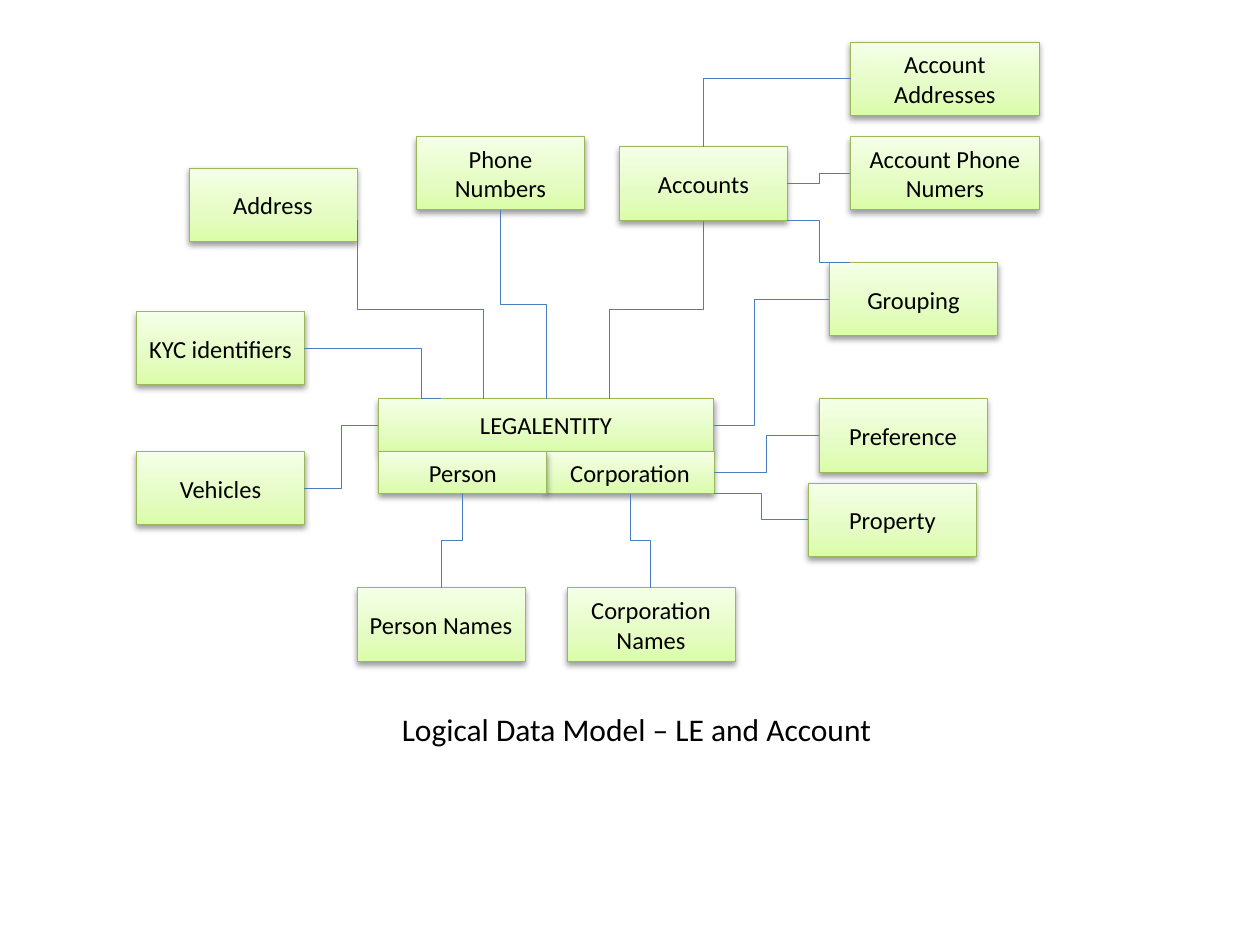
from lxml import etree
from pptx import Presentation
from pptx.dml.color import RGBColor
from pptx.enum.shapes import MSO_CONNECTOR, MSO_SHAPE
from pptx.enum.text import MSO_ANCHOR, PP_ALIGN
from pptx.oxml.ns import qn
from pptx.util import Pt

RECT = MSO_SHAPE.RECTANGLE
ELBOW = MSO_CONNECTOR.ELBOW
MIDDLE = MSO_ANCHOR.MIDDLE
CENTER = PP_ALIGN.CENTER

THEME = {
    "font": "Calibri",
    "text": RGBColor(0, 0, 0),
    "border": RGBColor(0x98, 0xB9, 0x55),
    "link": RGBColor(0x4B, 0x7E, 0xBC),
    "stops": [(0, "DAFDA7"), (35, "E4FCC2"), (100, "F5FFE7")],
    "shadow": {"blurRad": Pt(3.5), "dist": Pt(2), "dir": 5400000, "rotWithShape": 0},
    "shadow_alpha": 38000,
    "line": Pt(0.5),
    "box_size": Pt(14),
    "caption_size": Pt(18),
}


def sub(parent, tag, **attrs):
    """Append a DrawingML element and return it."""
    values = {key: str(value) for key, value in attrs.items()}
    return etree.SubElement(parent, qn(f"a:{tag}"), values)


def write(tf, text, size):
    r = tf.paragraphs[0].add_run()
    r.text = text
    for name, value in {"name": THEME["font"], "size": size}.items():
        setattr(r.font, name, value)
    r.font.color.rgb = THEME["text"]


prs = Presentation()
prs.slide_width, prs.slide_height = Pt(720), Pt(540)
s = prs.slides.add_slide(prs.slide_layouts[6])

# Entities: label, left, top, width, height
W, H = 96, 42
entities = [
    ("LEGALENTITY", 216, 228, 2 * W, 30),
    ("Accounts", 354, 84, W, H),
    ("Preference", 468, 228, W, H),
    ("Corporation Names", 324, 336, W, H),
    ("Person Names", 204, 336, W, H),
    ("Corporation", 312, 258, W, 24),
    ("Phone Numbers", 238, 78, W, H),
    ("KYC identifiers", 78, 178, W, H),
    ("Address", 108, 96, W, H),
    ("Person", 216.5, 258, W, 24),
    ("Vehicles", 78, 258, W, H),
    ("Property", 462, 276, W, H),
    ("Grouping", 474, 150, W, H),
    ("Account Addresses", 486, 24, 108, H),
    ("Account Phone Numers", 486, 78, 108, H),
]
for label, *bounds in entities:
    sp = s.shapes.add_shape(RECT, *map(Pt, bounds))
    sp.fill.gradient()
    sp.fill.gradient_angle = 90
    stops = sp._element.spPr.find(f".//{qn('a:gsLst')}")
    for old in list(stops):
        stops.remove(old)
    for percent, color in THEME["stops"]:
        sub(sub(stops, "gs", pos=percent * 1000), "srgbClr", val=color)
    sp.line.color.rgb = THEME["border"]
    sp.line.width = THEME["line"]
    sp.shadow.inherit = False
    effects = sp._element.spPr.find(qn("a:effectLst"))
    black = sub(sub(effects, "outerShdw", **THEME["shadow"]), "srgbClr", val="000000")
    sub(black, "alpha", val=THEME["shadow_alpha"])
    tf = sp.text_frame
    for name, value in {"word_wrap": True, "vertical_anchor": MIDDLE}.items():
        setattr(tf, name, value)
    tf.paragraphs[0].alignment = CENTER
    write(tf, label, THEME["box_size"])

# Links: start x, y, end x, y, first direction, position of the bend (None: one corner)
links = [
    (312, 228, 286, 120, "vertical", 0.5),
    (348, 228, 402, 126, "vertical", 0.5),
    (408, 270, 468, 249, "horizontal", 0.5),
    (408, 243, 474, 171, "horizontal", 0.35),
    (276, 228, 204, 126, "vertical", 0.5),
    (252, 228, 174, 199, "horizontal", 0.14),
    (216, 243, 174, 279, "horizontal", 0.5),
    (264, 282, 252, 336, "vertical", 0.5),
    (360, 282, 372, 336, "vertical", 0.5),
    (402, 84, 486, 45, "vertical", None),
    (450, 105, 486, 99, "horizontal", 0.5),
    (408, 282, 462, 297, "horizontal", 0.5),
    (450, 126, 486, 150, "horizontal", 0.5),
]
for x1, y1, x2, y2, direction, bend in links:
    turn = 0
    if direction == "vertical":
        # Lay the elbow on its side about its centre, then turn it upright
        turn = 90 if y2 > y1 else 270
        sign = 1 if y2 > y1 else -1
        cx, cy = (x1 + x2) / 2, (y1 + y2) / 2
        half_w, half_h = abs(y2 - y1) / 2, sign * (x1 - x2) / 2
        x1, y1, x2, y2 = cx - half_w, cy - half_h, cx + half_w, cy + half_h
    c = s.shapes.add_connector(ELBOW, Pt(x1), Pt(y1), Pt(x2), Pt(y2))
    c.line.color.rgb = THEME["link"]
    c.line.width = THEME["line"]
    props = c._element.spPr
    sub(props, "effectLst")
    if turn:
        props.find(qn("a:xfrm")).set("rot", str(turn * 60000))
    geometry = props.find(qn("a:prstGeom"))
    if bend is None:
        geometry.set("prst", "bentConnector2")
    else:
        guides = geometry.find(qn("a:avLst"))
        sub(guides, "gd", name="adj1", fmla=f"val {round(bend * 100000)}")

caption = s.shapes.add_textbox(Pt(222.5), Pt(402), Pt(286), Pt(29))
caption.text_frame.word_wrap = False
write(caption.text_frame, "Logical Data Model – LE and Account", THEME["caption_size"])

prs.save("out.pptx")
